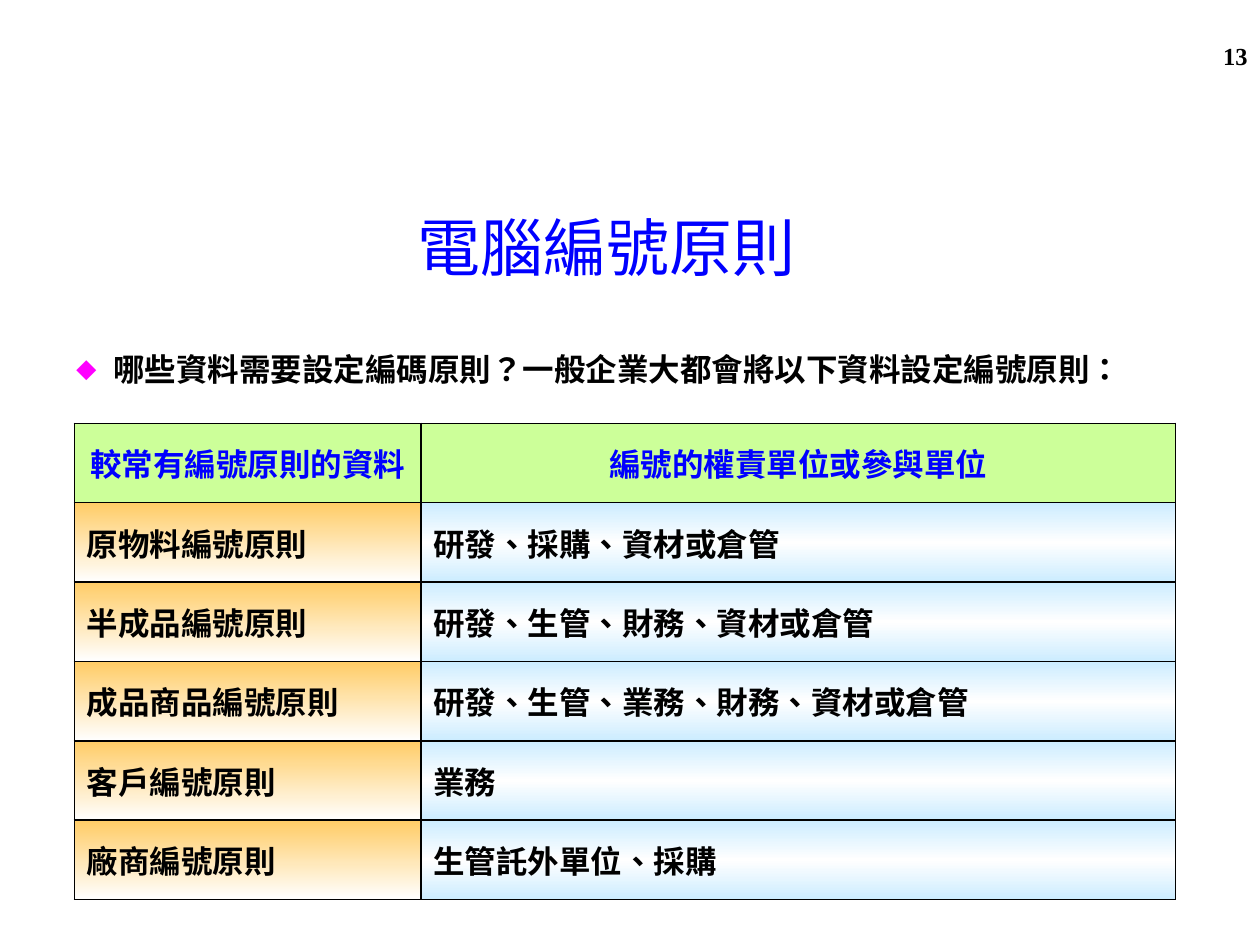
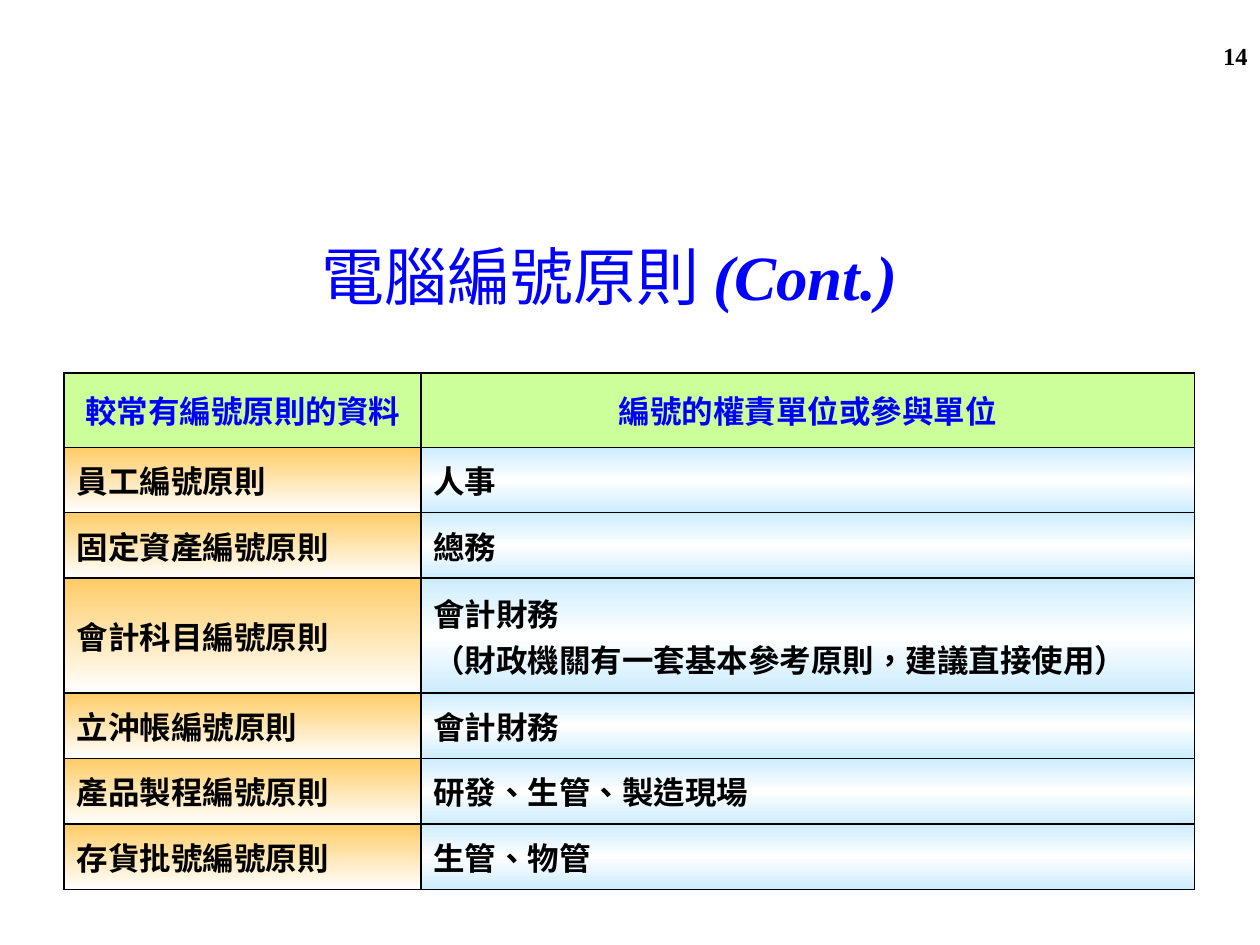
from lxml import etree
from pptx import Presentation
from pptx.dml.color import RGBColor
from pptx.enum import text
from pptx.oxml import ns
from pptx.util import Inches, Pt

COLORS = {
    "blue": "0000FF", "black": "000000", "white": "FFFFFF", "green": "CCFF99",
    "orange": "FFCC66", "sky": "CCECFF", "magenta": "FF00FF",
}
LATIN = "Times New Roman"
TITLE_FONT = "Noto Sans CJK JP"
BODY_FONT = "Noto Sans CJK TC"
HEADER = ("較常有編號原則的資料", "編號的權責單位或參與單位")
COLUMN_GRADIENTS = (("orange", "white"), ("sky", "white", "sky"))
FIRST_NUMBER = 13

SLIDES = [
    {
        "title": "\u00a0電腦編號原則", "suffix": "", "title_at": (0.98, 1.55),
        "bullet": "哪些資料需要設定編碼原則？一般企業大都會將以下資料設定編號原則：",
        "table_at": (0.59, 3.36), "columns": (2.75, 5.99), "heights": [0.63] * 6,
        "rows": [
            ("原物料編號原則", "研發、採購、資材或倉管"),
            ("半成品編號原則", "研發、生管、財務、資材或倉管"),
            ("成品商品編號原則", "研發、生管、業務、財務、資材或倉管"),
            ("客戶編號原則", "業務"),
            ("廠商編號原則", "生管託外單位、採購"),
        ],
    },
    {
        "title": "電腦編號原則 ", "suffix": "(Cont.)", "title_at": (1.06, 1.78),
        "bullet": "",
        "table_at": (0.51, 2.96), "columns": (2.83, 6.14),
        "heights": [0.59, 0.52, 0.52, 0.91, 0.52, 0.52, 0.52],
        "rows": [
            ("員工編號原則", "人事"),
            ("固定資產編號原則", "總務"),
            ("會計科目編號原則", "會計財務\n（財政機關有一套基本參考原則，建議直接使用）"),
            ("立沖帳編號原則", "會計財務"),
            ("產品製程編號原則", "研發、生管、製造現場"),
            ("存貨批號編號原則", "生管、物管"),
        ],
    },
]


def add_xml(parent, tag, **attributes):
    element = etree.SubElement(parent, ns.qn(tag))
    for name, value in attributes.items():
        element.set(name, str(value))
    return element


def write(paragraph, content, size=18, color="black", font=LATIN, east=BODY_FONT,
          bold=True, italic=False, align=text.PP_ALIGN.LEFT):
    paragraph.alignment = align
    run = paragraph.add_run()
    run.text = content
    run.font.size = Pt(size)
    run.font.bold = bold
    run.font.italic = italic
    run.font.color.rgb = RGBColor.from_string(COLORS[color])
    run.font.name = font
    properties = run.font._element
    properties.set("lang", "zh-TW")
    add_xml(properties, "a:ea", typeface=east)


presentation = Presentation()
presentation.slide_width = Inches(10)
presentation.slide_height = Inches(7.5)
title_only = presentation.slide_layouts[5]

for number, content in enumerate(SLIDES, FIRST_NUMBER):
    slide = presentation.slides.add_slide(title_only)

    title = slide.shapes.title
    title.left, title.top = map(Inches, content["title_at"])
    title.width, title.height = Inches(7.55), Inches(0.81)
    title.text_frame.auto_size = text.MSO_AUTO_SIZE.NONE
    title.text_frame.vertical_anchor = text.MSO_ANCHOR.MIDDLE
    heading = title.text_frame.paragraphs[0]
    write(heading, content["title"], size=36, color="blue", font=TITLE_FONT,
          east=TITLE_FONT, bold=False, align=text.PP_ALIGN.CENTER)
    if content["suffix"]:
        write(heading, content["suffix"], size=36, color="blue", italic=True,
              align=text.PP_ALIGN.CENTER)

    page_box = slide.shapes.add_textbox(Inches(7.67), Inches(0.28), Inches(2.33), Inches(0.52))
    page_box.text_frame.word_wrap = True
    write(page_box.text_frame.paragraphs[0], str(number), size=14, align=text.PP_ALIGN.RIGHT)

    rows = [HEADER] + content["rows"]
    left, top = map(Inches, content["table_at"])
    frame = slide.shapes.add_table(len(rows), len(HEADER), left, top,
                                   Inches(sum(content["columns"])),
                                   Inches(sum(content["heights"])))
    table = frame.table
    for column, width in zip(table.columns, content["columns"]):
        column.width = Inches(width)
    for row, height in zip(table.rows, content["heights"]):
        row.height = Inches(height)

    for row_index, row in enumerate(rows):
        is_header = row_index == 0
        for column_index, label in enumerate(row):
            cell = table.cell(row_index, column_index)
            cell.vertical_anchor = text.MSO_ANCHOR.MIDDLE
            for line_index, line in enumerate(label.split("\n")):
                if line_index:
                    cell.text_frame.add_paragraph()
                write(cell.text_frame.paragraphs[line_index], line,
                      color="blue" if is_header else "black",
                      align=text.PP_ALIGN.CENTER if is_header else text.PP_ALIGN.LEFT)
            cell_properties = cell._tc.get_or_add_tcPr()
            for side in "LRTB":
                border = add_xml(cell_properties, f"a:ln{side}", w=Pt(1))
                add_xml(add_xml(border, "a:solidFill"), "a:srgbClr", val=COLORS["black"])
            if is_header:
                cell.fill.solid()
                cell.fill.fore_color.rgb = RGBColor.from_string(COLORS["green"])
                continue
            names = COLUMN_GRADIENTS[column_index]
            gradient = add_xml(cell_properties, "a:gradFill", rotWithShape=0)
            stops = add_xml(gradient, "a:gsLst")
            for stop_index, name in enumerate(names):
                stop = add_xml(stops, "a:gs", pos=100000 * stop_index // (len(names) - 1))
                add_xml(stop, "a:srgbClr", val=COLORS[name])
            add_xml(gradient, "a:lin", ang=90 * 60000, scaled=1)

    if content["bullet"]:
        bullet_box = slide.shapes.add_textbox(Inches(0.51), Inches(2.73), Inches(9.3), Inches(0.4))
        bullet_box.text_frame.word_wrap = True
        bullet_box.text_frame.vertical_anchor = text.MSO_ANCHOR.MIDDLE
        paragraph = bullet_box.text_frame.paragraphs[0]
        write(paragraph, content["bullet"], font=BODY_FONT)
        paragraph_properties = paragraph._p.get_or_add_pPr()
        paragraph_properties.set("marL", str(Inches(0.29)))
        paragraph_properties.set("indent", str(-Inches(0.29)))
        add_xml(add_xml(paragraph_properties, "a:buClr"), "a:srgbClr", val=COLORS["magenta"])
        add_xml(paragraph_properties, "a:buSzPct", val=65000)
        add_xml(paragraph_properties, "a:buFont", typeface=BODY_FONT)
        add_xml(paragraph_properties, "a:buChar", char="◆")

presentation.save("out.pptx")
